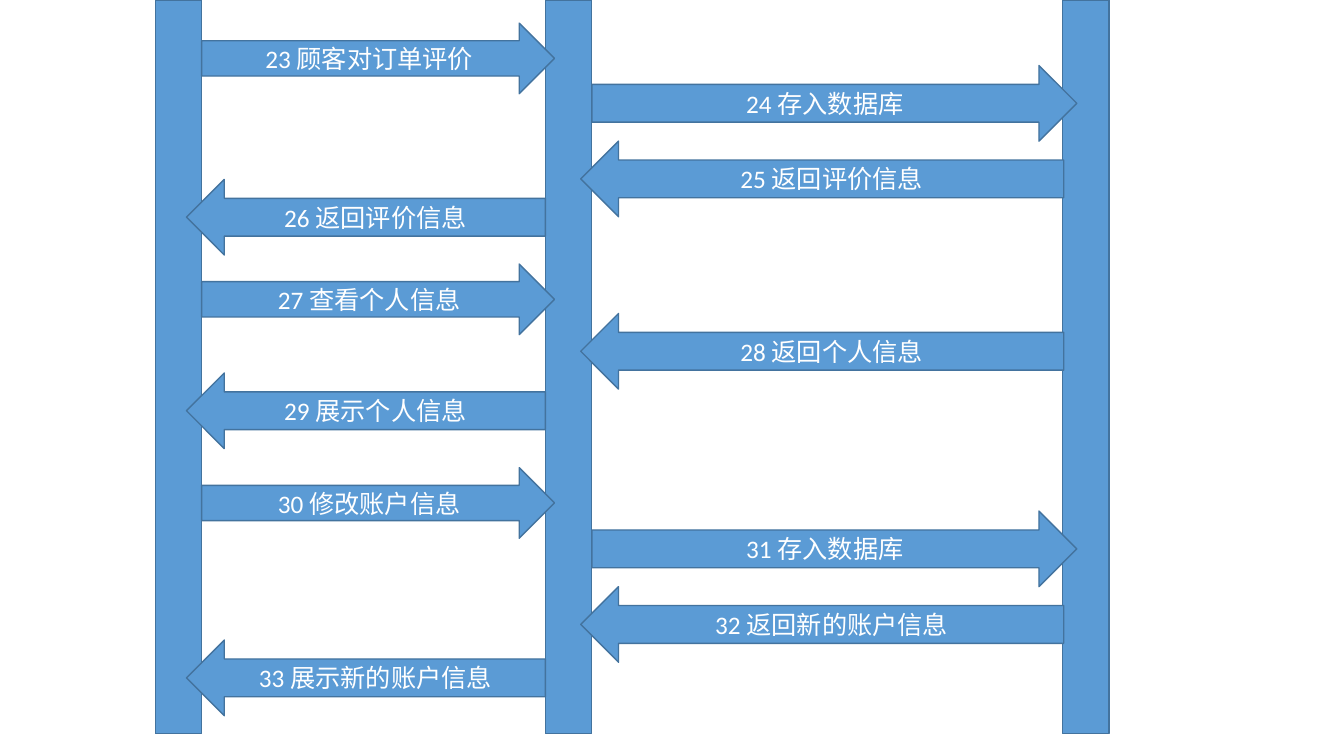
import pptx
import pptx.util
import pptx.dml.color
import pptx.enum.shapes
import pptx.enum.text

KIND = pptx.enum.shapes.MSO_SHAPE
HUES = {"fill": "5B9BD5", "line": "43739E", "text": "FFFFFF"}

# Lifelines: left edges, shared width and height
BARS = (1.54, 5.41, 10.54)
WIDE, TALL = 0.46, 7.28

# Lanes: arrow kind, left, width, height
LANES = {
    "ask": (KIND.RIGHT_ARROW, BARS[0] + WIDE, 3.5, 0.7),
    "show": (KIND.LEFT_ARROW, 1.85, 3.56, 0.75),
    "store": (KIND.RIGHT_ARROW, BARS[1] + WIDE, 4.81, 0.75),
    "fetch": (KIND.LEFT_ARROW, 5.76, 4.79, 0.75),
}

# Messages in order: lane, top, wording
FIRST = 23
STEPS = [
    ("ask", 0.23, "顾客对订单评价"),
    ("store", 0.65, "存入数据库"),
    ("fetch", 1.4, "返回评价信息"),
    ("show", 1.78, "返回评价信息"),
    ("ask", 2.62, "查看个人信息"),
    ("fetch", 3.11, "返回个人信息"),
    ("show", 3.7, "展示个人信息"),
    ("ask", 4.64, "修改账户信息"),
    ("store", 5.07, "存入数据库"),
    ("fetch", 5.82, "返回新的账户信息"),
    ("show", 6.35, "展示新的账户信息"),
]


def tint(name):
    """Return the named colour."""
    return pptx.dml.color.RGBColor.from_string(HUES[name])


def block(page, kind, *box):
    """Add a filled, outlined shape; box is left, top, width, height."""
    shape = page.shapes.add_shape(kind, *map(pptx.util.Inches, box))
    shape.shadow.inherit = False
    shape.fill.solid()
    shape.fill.fore_color.rgb = tint("fill")
    shape.line.color.rgb = tint("line")
    shape.line.width = pptx.util.Pt(1)
    return shape


def write(shape, text, size=18, font="Calibri", hue="text"):
    """Put centred text into a shape."""
    frame = shape.text_frame
    frame.word_wrap = True
    frame.vertical_anchor = pptx.enum.text.MSO_ANCHOR.MIDDLE
    para = frame.paragraphs[0]
    para.alignment = pptx.enum.text.PP_ALIGN.CENTER
    run = para.add_run()
    run.text = text
    run.font.size = pptx.util.Pt(size)
    run.font.name = font
    run.font.color.rgb = tint(hue)


deck = pptx.Presentation()
deck.slide_width = pptx.util.Inches(13.33)
deck.slide_height = pptx.util.Inches(7.5)
page = deck.slides.add_slide(deck.slide_layouts[6])

for left in BARS:
    block(page, KIND.RECTANGLE, left, 0, WIDE, TALL)

for num, (lane, top, text) in enumerate(STEPS, FIRST):
    kind, left, width, height = LANES[lane]
    arrow = block(page, kind, left, top, width, height)
    write(arrow, f"{num} {text}")

deck.save("out.pptx")
